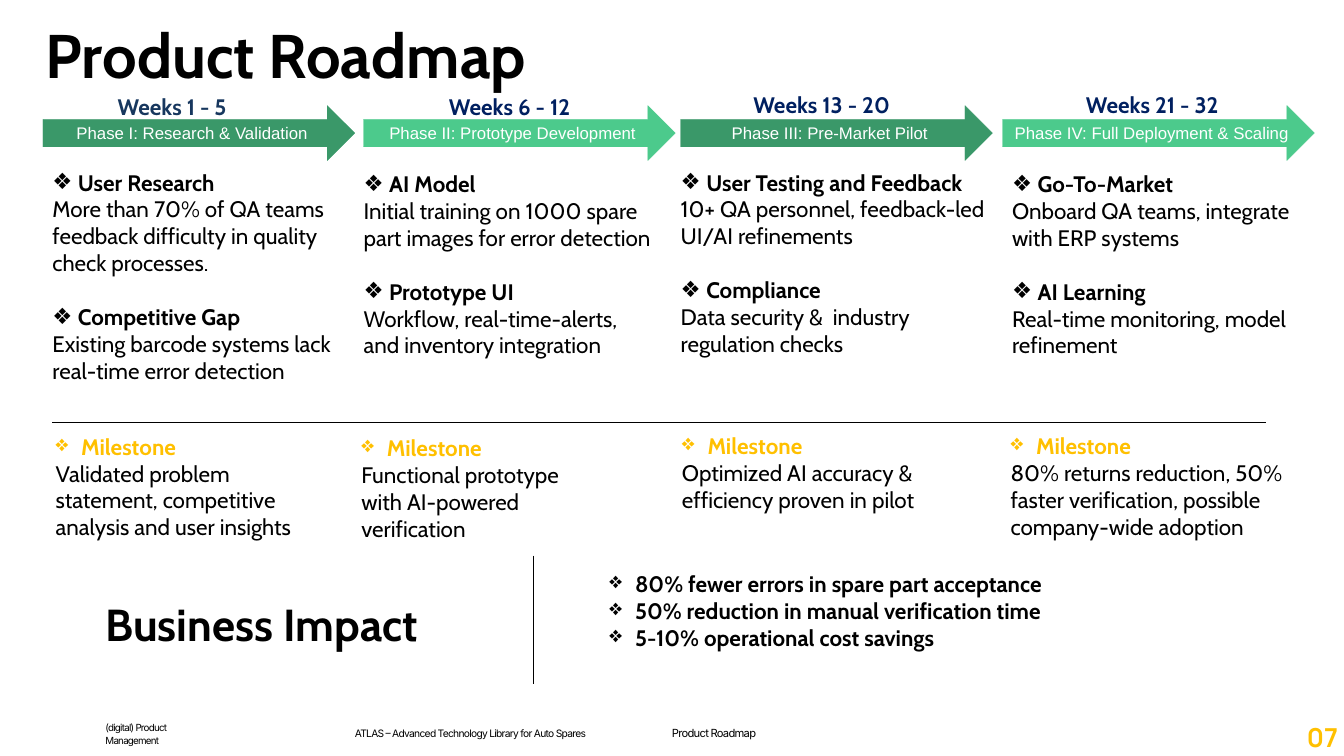
from dataclasses import dataclass

from lxml import etree
from pptx import Presentation
from pptx.dml.color import RGBColor
from pptx.enum.shapes import MSO_CONNECTOR, MSO_SHAPE
from pptx.enum.text import MSO_ANCHOR, MSO_AUTO_SIZE, PP_ALIGN
from pptx.oxml.ns import qn
from pptx.util import Emu, Pt

RIGHT_ARROW = MSO_SHAPE.RIGHT_ARROW
STRAIGHT = MSO_CONNECTOR.STRAIGHT
TOP, MIDDLE = MSO_ANCHOR.TOP, MSO_ANCHOR.MIDDLE
LEFT, CENTER = PP_ALIGN.LEFT, PP_ALIGN.CENTER
NO_FIT = MSO_AUTO_SIZE.NONE
COMPARISON_LAYOUT = 3 + 1
PX = 9144  # 100 px to the inch


@dataclass(frozen=True)
class Theme:
    black: str = "000000"
    white: str = "FFFFFF"
    dark_green: str = "3A9869"
    light_green: str = "4CCA8C"
    slate: str = "17375E"
    navy: str = "002060"
    gold: str = "FFC000"
    heading_font: str = "Cabin"
    arrow_font: str = "Arial"
    footer_font: str = "Inter"
    number_font: str = "Manrope"
    title_size: float = 66
    impact_size: float = 48
    number_size: float = 28
    body_size: float = 24
    arrow_size: float = 18
    heading_line: float = 81.8
    footer_line: float = 13.5
    group_gap: float = 29


THEME = Theme()


class RoadmapSlide:
    def __init__(self, presentation, theme):
        self.theme = theme
        layout = presentation.slide_layouts[COMPARISON_LAYOUT]
        self.slide = presentation.slides.add_slide(layout)
        self.shapes = self.slide.shapes

    def place(self, shape, box):
        shape.left, shape.top, shape.width, shape.height = (Emu(n * PX) for n in box)

    def frame(self, shape, anchor=TOP, inset=(0, 0)):
        frame = shape.text_frame
        frame.word_wrap = True
        frame.auto_size = NO_FIT
        frame.vertical_anchor = anchor
        frame.margin_left = frame.margin_right = Emu(inset[0] * PX)
        frame.margin_top = frame.margin_bottom = Emu(inset[1] * PX)
        return frame

    def style(self, paragraph, size, color, bold=False, font=None, line=None,
              align=LEFT, before=0, tracking=None):
        paragraph.alignment = align
        paragraph.space_before = Pt(before)
        if line:
            paragraph.line_spacing = Pt(line)
        for run in paragraph.runs:
            run.font.name = font or self.theme.heading_font
            run.font.size = Pt(size)
            run.font.bold = bold
            run.font.color.rgb = RGBColor.from_string(color)
            if tracking:
                run.font._element.set("spc", str(tracking))

    def bullet(self, paragraph, mark=None):
        properties = paragraph._p.get_or_add_pPr()
        indent = 38 * PX if mark else 0
        properties.set("marL", str(indent))
        properties.set("indent", str(-indent))
        if mark:
            etree.SubElement(properties, qn("a:buChar")).set("char", mark)
        else:
            etree.SubElement(properties, qn("a:buNone"))

    def title(self, box, text):
        shape = self.shapes.title
        self.place(shape, box)
        frame = self.frame(shape)
        frame.text = text
        self.style(frame.paragraphs[0], self.theme.title_size, self.theme.black,
                   bold=True, line=self.theme.heading_line)

    def text(self, box, text, size, color, anchor=TOP, inset=(0, 0), **style):
        shape = self.shapes.add_textbox(*(Emu(n * PX) for n in box))
        frame = self.frame(shape, anchor, inset)
        frame.text = text
        self.style(frame.paragraphs[0], size, color, **style)

    def bullets(self, box, items, placeholder=None, color=None, inset=(0, 0)):
        """Each item is a bulleted heading and an optional description."""
        if placeholder is None:
            shape = self.shapes.add_textbox(*(Emu(n * PX) for n in box))
        else:
            shape = self.slide.placeholders[placeholder]
            self.place(shape, box)
        frame = self.frame(shape, inset=inset)
        paragraph = frame.paragraphs[0]
        size = self.theme.body_size
        for index, (heading, description) in enumerate(items):
            if index:
                paragraph = frame.add_paragraph()
            gap = self.theme.group_gap if index and description else 0
            paragraph.text = heading
            self.bullet(paragraph, "❖")
            self.style(paragraph, size, color or self.theme.black, bold=True, before=gap)
            if description:
                paragraph = frame.add_paragraph()
                paragraph.text = description
                self.bullet(paragraph)
                self.style(paragraph, size, self.theme.black)

    def arrow(self, box, text, color):
        shape = self.shapes.add_shape(RIGHT_ARROW, *(Emu(n * PX) for n in box))
        shape.shadow.inherit = False
        shape.fill.solid()
        shape.fill.fore_color.rgb = RGBColor.from_string(color)
        shape.line.color.rgb = RGBColor.from_string(color)
        shape.line.width = Pt(0.25)
        frame = self.frame(shape, MIDDLE, (10, 5))
        frame.text = text
        self.style(frame.paragraphs[0], self.theme.arrow_size, self.theme.white,
                   font=self.theme.arrow_font, align=CENTER)

    def rule(self, *ends):
        line = self.shapes.add_connector(STRAIGHT, *(Emu(n * PX) for n in ends))
        line.line.color.rgb = RGBColor.from_string(self.theme.black)
        line.line.width = Pt(0.75)
        etree.SubElement(line._element.spPr, qn("a:effectLst"))


# One entry per phase: arrow, weeks, details, milestone
PHASES = [
    (64, "Phase I: Research & Validation", THEME.dark_green,
     (175, 139, 188, 40), "Weeks 1 - 5", THEME.slate,
     (78, 251, 436, 404),
     [("User Research",
       "More than 70% of QA teams feedback difficulty in quality check processes."),
      ("Competitive Gap", "Existing barcode systems lack real-time error detection")],
     (73, 639, 413, 172),
     "Validated problem statement, competitive analysis and user insights"),
    (541, "Phase II: Prototype Development", THEME.light_green,
     (668, 139, 205, 40), "Weeks 6 - 12", THEME.navy,
     (541, 253, 436, 364),
     [("AI Model", "Initial training on 1000 spare part images for error detection"),
      ("Prototype UI", "Workflow, real-time-alerts, and inventory integration")],
     (528, 641, 347, 172),
     "Functional prototype with AI-powered verification"),
    (1013, "Phase III: Pre-Market Pilot", THEME.dark_green,
     (1121, 136, 247, 40), "Weeks 13 - 20", THEME.navy,
     (1013, 251, 464, 364),
     [("User Testing and Feedback", "10+ QA personnel, feedback-led UI/AI refinements"),
      ("Compliance", "Data security &  industry regulation checks")],
     (1005, 638, 379, 172),
     "Optimized AI accuracy & efficiency proven in pilot"),
    (1492, "Phase IV: Full Deployment & Scaling", THEME.light_green,
     (1616, 136, 247, 40), "Weeks 21 - 32", THEME.navy,
     (1506, 253, 436, 323),
     [("Go-To-Market", "Onboard QA teams, integrate with ERP systems"),
      ("AI Learning", "Real-time monitoring, model refinement")],
     (1494, 638, 464, 172),
     "80% returns reduction, 50% faster verification, possible company-wide adoption"),
]

IMPACTS = ["80% fewer errors in spare part acceptance",
           "50% reduction in manual verification time",
           "5-10% operational cost savings"]

FOOTERS = [((157, 1082, 150, 19), "(digital) Product Management", 10.5),
           ((528, 1082, 526, 19), "ATLAS – Advanced Technology Library for Auto Spares", 11),
           ((1000, 1069, 150, 46), "Product Roadmap", 12)]


def main():
    presentation = Presentation()
    presentation.slide_width, presentation.slide_height = Emu(2000 * PX), Emu(1125 * PX)
    roadmap = RoadmapSlide(presentation, THEME)
    roadmap.title((68, 22, 1874, 113), "Product Roadmap")

    # Phase columns
    for number, phase in enumerate(PHASES, 1):
        (arrow_left, name, green, weeks_box, weeks, weeks_color,
         details_box, details, milestone_box, milestone) = phase
        roadmap.arrow((arrow_left, 157, 464, 82), name, green)
        roadmap.text(weeks_box, weeks, THEME.body_size, weeks_color, bold=True)
        roadmap.bullets(details_box, details, placeholder=number)
        roadmap.bullets(milestone_box, [("Milestone", milestone)],
                        color=THEME.gold, inset=(10, 5))
    roadmap.rule(78, 629, 1884, 629)

    # Business impact
    roadmap.text((157, 855, 555, 108), "Business Impact", THEME.impact_size,
                 THEME.black, bold=True, line=THEME.heading_line)
    roadmap.rule(793, 827, 793, 1018)
    roadmap.bullets((907, 848, 860, 121), [(impact, None) for impact in IMPACTS])

    # Footer and page number
    for box, text, size in FOOTERS:
        roadmap.text(box, text, size, THEME.black, anchor=MIDDLE,
                     font=THEME.footer_font, line=THEME.footer_line, tracking=-80)
    roadmap.text((1935, 1069, 96, 57), "07", THEME.number_size, THEME.gold,
                 inset=(10, 5), bold=True, font=THEME.number_font)

    presentation.save("out.pptx")


if __name__ == "__main__":
    main()
